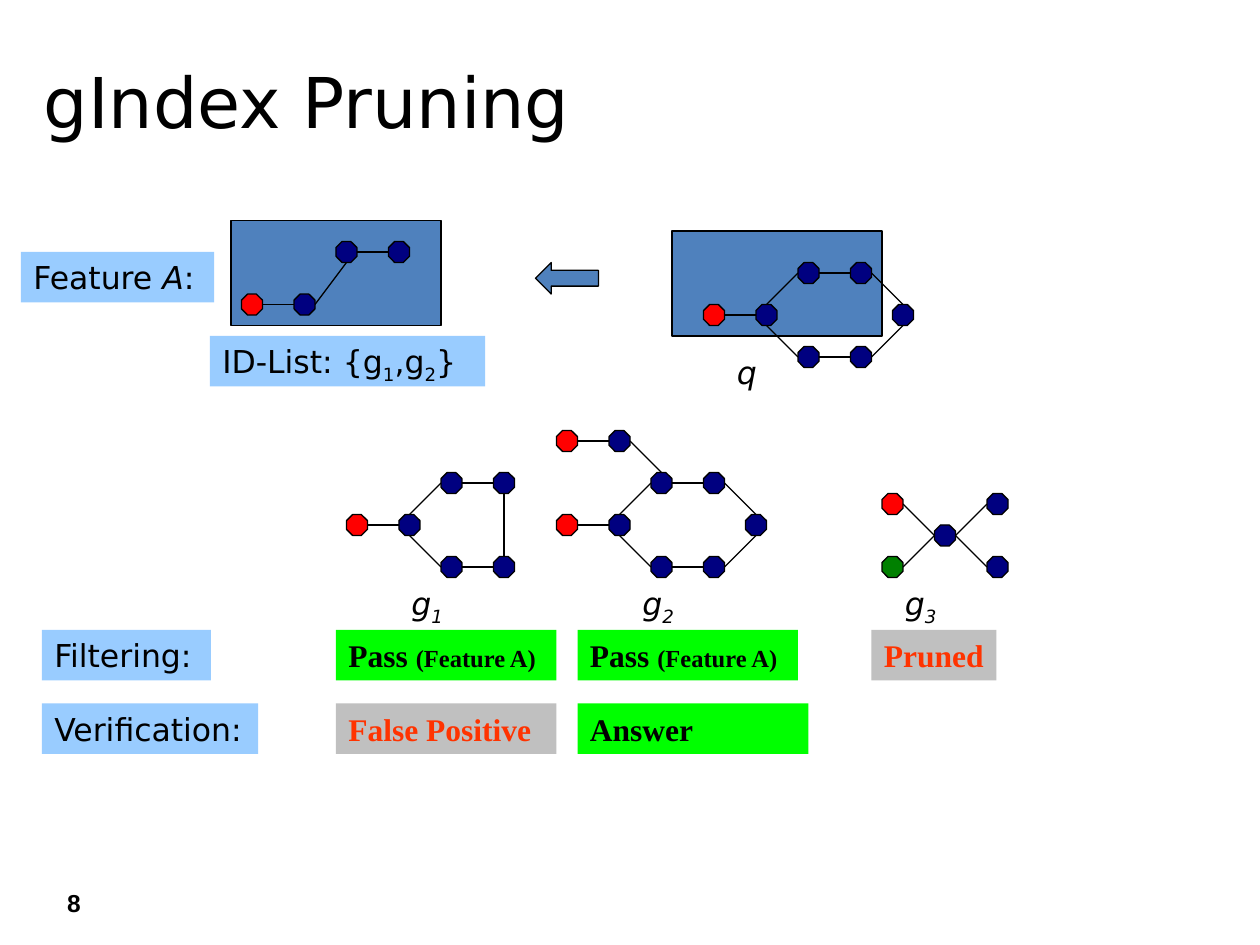
import pptx
import pptx.util
import pptx.dml.color
import pptx.enum.shapes
import pptx.enum.text
import pptx.oxml.ns
import lxml.etree

RGB = pptx.dml.color.RGBColor
KIND = pptx.enum.shapes.MSO_SHAPE
BLACK = RGB(0x00, 0x00, 0x00)
BLUE = RGB(0x4F, 0x81, 0xBD)
NAVY = RGB(0x00, 0x00, 0x80)
RED = RGB(0xFF, 0x00, 0x00)
GREEN = RGB(0x00, 0x80, 0x00)
SKY = RGB(0x99, 0xCC, 0xFF)
LIME = RGB(0x00, 0xFF, 0x00)
GREY = RGB(0xC0, 0xC0, 0xC0)
FLAME = RGB(0xFF, 0x33, 0x00)
SANS, SERIF, ARIAL = "DejaVu Sans", "Times New Roman", "Arial"

PX = 914400 // 120  # 120 px to the inch
NODE = 20

# Outlined shapes: kind, box
FRAMES = [
    (KIND.RECTANGLE, (220, 210, 200, 100)),
    (KIND.RECTANGLE, (640, 220, 200, 100)),
    (KIND.LEFT_ARROW, (510, 250, 60, 30)),
]

# Graphs: nodes are centres relative to the origin; an edge such as
# "hub.T up.L" joins the top of one node to the left of another
TAIL = {"red": (0, 0), "hub": (50, 0), "up": (90, -40), "upr": (140, -40),
        "low": (90, 40), "lowr": (140, 40)}
RING = TAIL | {"end": (180, 0)}
ARMS = ["red.R hub.L", "hub.T up.L", "up.R upr.L", "hub.B low.L", "low.R lowr.L"]
LOOP = ARMS + ["upr.R end.T", "lowr.R end.B"]
PATH = {"red": (0, 0), "hub": (50, 0), "up": (90, -50), "upr": (140, -50)}
STAR = {"red": (-50, -30), "green": (-50, 30), "hub": (0, 0),
        "up": (50, -30), "low": (50, 30)}
GRAPHS = [
    ((240, 290), PATH, ["red.R hub.L", "hub.R up.B", "up.R upr.L"]),
    ((680, 300), RING, LOOP),
    ((340, 500), TAIL, ARMS + ["upr.B lowr.T"]),
    ((540, 500), RING | {"red2": (0, -80), "top": (50, -80)},
     LOOP + ["red2.R top.L", "top.R up.T"]),
    ((900, 510), STAR,
     ["red.R hub.L", "green.R hub.L", "hub.R up.L", "hub.R low.L"]),
]
PAINT = {"red": RED, "red2": RED, "green": GREEN}
PORTS = {"L": (-1, 0), "R": (1, 0), "T": (0, -1), "B": (0, 1)}

# Text: box, fill, font, size, colour, runs of (text, marks);
# marks: b bold, i italic, s subscript, m 14 pt
PASS = [("Pass ", "b"), ("(Feature A)", "bm")]
ROWS = (600, 670)
TEXTS = [
    ((30, 50, 1080, 85), None, SANS, 40, BLACK, [("gIndex Pruning", "")]),
    ((20, 240, 184, 48), SKY, SANS, 18, BLACK,
     [("Feature ", ""), ("A", "i"), (":", "")]),
    ((200, 320, 262, 48), SKY, SANS, 18, BLACK,
     [("ID-List: {g", ""), ("1", "s"), (",g", ""), ("2", "s"), ("}", "")]),
    ((690, 330, 43, 48), None, SANS, 18, BLACK, [("q", "i")]),
    ((40, ROWS[0], 161, 48), SKY, SANS, 18, BLACK, [("Filtering:", "")]),
    ((40, ROWS[1], 206, 48), SKY, SANS, 18, BLACK, [("Verification:", "")]),
    ((320, ROWS[0], 210, 48), LIME, SERIF, 18, BLACK, PASS),
    ((550, ROWS[0], 210, 48), LIME, SERIF, 18, BLACK, PASS),
    ((830, ROWS[0], 119, 48), GREY, SERIF, 18, FLAME, [("Pruned", "b")]),
    ((320, ROWS[1], 210, 48), GREY, SERIF, 18, FLAME, [("False Positive", "b")]),
    ((550, ROWS[1], 220, 48), LIME, SERIF, 18, BLACK, [("Answer", "b")]),
    ((52, 840, 56, 41), None, ARIAL, 14, BLACK, [("8", "b")]),
]
for num, left in enumerate((380, 600, 850), 1):
    TEXTS.append(((left, 550, 55, 48), None, SANS, 18, BLACK,
                  [("g", "i"), (str(num), "is")]))


def emu(*vals):
    return [round(v * PX) for v in vals]


def add_shape(slide, kind, box, fill, line=None):
    shape = slide.shapes.add_shape(kind, *emu(*box))
    shape.shadow.inherit = False
    shape.fill.solid()
    shape.fill.fore_color.rgb = fill
    if line is None:
        shape.line.fill.background()
    else:
        shape.line.color.rgb = line
        shape.line.width = pptx.util.Pt(0.75)
    return shape


def add_edge(slide, start, end):
    edge = slide.shapes.add_connector(
        pptx.enum.shapes.MSO_CONNECTOR.STRAIGHT, *emu(*start, *end))
    edge.line.color.rgb = BLACK
    edge.line.width = pptx.util.Pt(0.75)
    lxml.etree.SubElement(edge._element.spPr, pptx.oxml.ns.qn("a:effectLst"))


def add_graph(slide, base, nodes, edges):
    spots = {name: (base[0] + x, base[1] + y) for name, (x, y) in nodes.items()}

    def port(mark):
        name, side = mark.split(".")
        return [c + d * NODE // 2 for c, d in zip(spots[name], PORTS[side])]

    for edge in edges:
        add_edge(slide, *map(port, edge.split()))
    for name, (x, y) in spots.items():
        box = (x - NODE // 2, y - NODE // 2, NODE, NODE)
        add_shape(slide, KIND.OCTAGON, box, PAINT.get(name, NAVY), BLACK)


def add_text(slide, box, fill, face, size, color, runs):
    if fill is None:
        shape = slide.shapes.add_textbox(*emu(*box))
    else:
        shape = add_shape(slide, KIND.RECTANGLE, box, fill)
    frame = shape.text_frame
    frame.word_wrap = box[2] > 60
    frame.vertical_anchor = pptx.enum.text.MSO_ANCHOR.TOP
    para = frame.paragraphs[0]
    para.alignment = pptx.enum.text.PP_ALIGN.LEFT
    for text, marks in runs:
        run = para.add_run()
        run.text = text
        font = run.font
        font.name = face
        font.size = pptx.util.Pt(14 if "m" in marks else size)
        font.color.rgb = color
        font.bold = "b" in marks
        font.italic = "i" in marks
        if "s" in marks:
            run._r.get_or_add_rPr().set("baseline", "-25000")


def main():
    deck = pptx.Presentation()
    deck.slide_width, deck.slide_height = emu(1200, 900)
    slide = deck.slides.add_slide(deck.slide_layouts[6])
    for kind, box in FRAMES:
        add_shape(slide, kind, box, BLUE, BLACK)
    for graph in GRAPHS:
        add_graph(slide, *graph)
    for text in TEXTS:
        add_text(slide, *text)
    deck.save("out.pptx")


if __name__ == "__main__":
    main()
